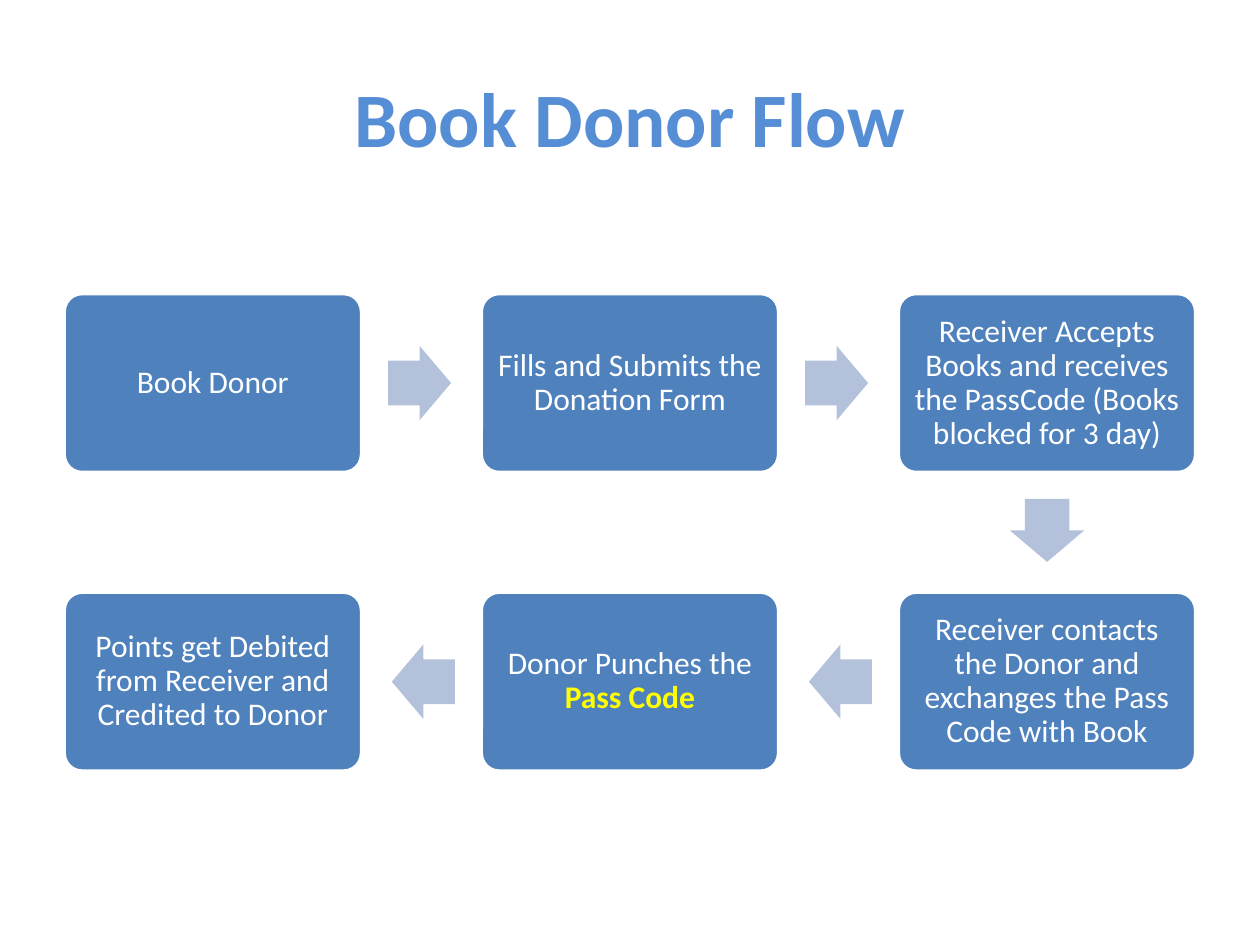
from dataclasses import dataclass

from pptx import Presentation
from pptx.dml.color import RGBColor
from pptx.enum import shapes, text
from pptx.util import Inches, Pt

TITLE = "Book Donor Flow"
STEPS = [
    # column, row, text runs as (wording, highlighted), direction to the next step
    (0, 0, [("Book Donor", False)], "right"),
    (1, 0, [("Fills and Submits the Donation Form", False)], "right"),
    (2, 0, [("Receiver Accepts Books and receives the PassCode "
             "(Books blocked for 3 day)", False)], "down"),
    (2, 1, [("Receiver contacts the Donor and exchanges the Pass Code with Book",
             False)], "left"),
    (1, 1, [("Donor Punches the ", False), ("Pass Code", True)], "left"),
    (0, 1, [("Points get Debited from Receiver and Credited to Donor", False)], None),
]
DIRECTIONS = {"right": (1, 0, 0), "down": (0, 1, 90), "left": (-1, 0, 180)}


@dataclass(frozen=True)
class Theme:
    font: str = "Calibri"
    title_size: int = 44
    step_size: int = 18
    title: str = "558ED5"
    box: str = "4F81BD"
    arrow: str = "B3C1DB"
    white: str = "FFFFFF"
    highlight: str = "FFFF00"


THEME = Theme()
LEFT, TOP = 0.51, 2.33
BOX_WIDTH, BOX_HEIGHT = 2.36, 1.42
COLUMN_STEP, ROW_STEP = 3.31, 2.37
ARROW_LENGTH, ARROW_WIDTH, ARROW_GAP = 0.5, 0.59, 0.21
INSET = 0.07


def style_font(font, size, color, bold):
    font.name = THEME.font
    font.size = Pt(size)
    font.bold = bold
    font.color.rgb = RGBColor.from_string(color)


def add_filled_shape(slide, kind, center_x, center_y, width, height, color):
    shape = slide.shapes.add_shape(
        kind, Inches(center_x - width / 2), Inches(center_y - height / 2),
        Inches(width), Inches(height))
    shape.shadow.inherit = False
    shape.fill.solid()
    shape.fill.fore_color.rgb = RGBColor.from_string(color)
    shape.line.fill.background()
    return shape


def add_step(slide, center_x, center_y, runs):
    box = add_filled_shape(slide, shapes.MSO_SHAPE.ROUNDED_RECTANGLE,
                           center_x, center_y, BOX_WIDTH, BOX_HEIGHT, THEME.box)
    box.adjustments[0] = 0.1
    box.line.color.rgb = RGBColor.from_string(THEME.white)
    box.line.width = Pt(2)
    frame = box.text_frame
    frame.word_wrap = True
    frame.vertical_anchor = text.MSO_ANCHOR.MIDDLE
    frame.margin_left = frame.margin_right = Inches(INSET)
    frame.margin_top = frame.margin_bottom = Inches(INSET)
    paragraph = frame.paragraphs[0]
    paragraph.alignment = text.PP_ALIGN.CENTER
    paragraph.line_spacing = 0.9
    for wording, highlighted in runs:
        run = paragraph.add_run()
        run.text = wording
        color = THEME.highlight if highlighted else THEME.white
        style_font(run.font, THEME.step_size, color, highlighted)


def add_arrow(slide, center_x, center_y, direction):
    across, down, rotation = DIRECTIONS[direction]
    reach = ARROW_GAP + ARROW_LENGTH / 2
    arrow = add_filled_shape(
        slide, shapes.MSO_SHAPE.RIGHT_ARROW,
        center_x + across * (BOX_WIDTH / 2 + reach),
        center_y + down * (BOX_HEIGHT / 2 + reach),
        ARROW_LENGTH, ARROW_WIDTH, THEME.arrow)
    arrow.adjustments[0] = 0.6
    arrow.adjustments[1] = 0.5
    arrow.rotation = rotation


def add_title(slide):
    title = slide.shapes.title
    title.left, title.top = Inches(0.5), Inches(0.3)
    title.width, title.height = Inches(9), Inches(1.25)
    frame = title.text_frame
    frame.text = TITLE
    frame.vertical_anchor = text.MSO_ANCHOR.MIDDLE
    paragraph = frame.paragraphs[0]
    paragraph.alignment = text.PP_ALIGN.CENTER
    style_font(paragraph.runs[0].font, THEME.title_size, THEME.title, True)


def main():
    presentation = Presentation()
    presentation.slide_width, presentation.slide_height = Inches(10), Inches(7.5)
    slide = presentation.slides.add_slide(
        presentation.slide_layouts.get_by_name("Title Only"))
    add_title(slide)
    for column, row, runs, direction in STEPS:
        center_x = LEFT + column * COLUMN_STEP + BOX_WIDTH / 2
        center_y = TOP + row * ROW_STEP + BOX_HEIGHT / 2
        add_step(slide, center_x, center_y, runs)
        if direction:
            add_arrow(slide, center_x, center_y, direction)
    presentation.save("out.pptx")


if __name__ == "__main__":
    main()
